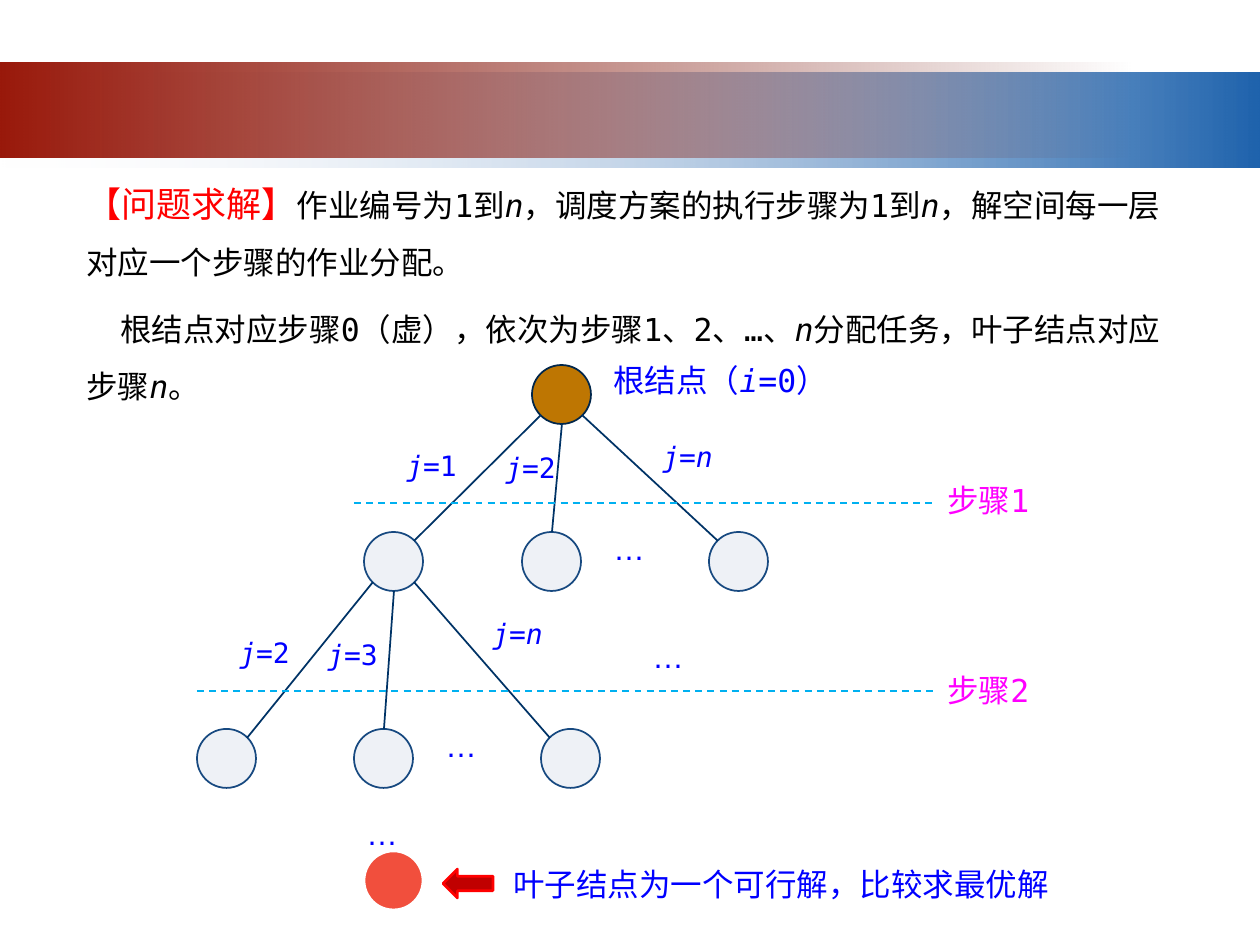
from lxml.etree import SubElement
from pptx import Presentation
from pptx.dml.color import RGBColor
from pptx.enum.dml import MSO_LINE
from pptx.enum.shapes import MSO_CONNECTOR, MSO_SHAPE
from pptx.enum.text import MSO_AUTO_SIZE
from pptx.oxml.ns import qn
from pptx.util import Emu, Pt

PX = 914400 // 126
MONO, CJK, ARIAL = "DejaVu Sans Mono", "Noto Sans CJK SC", "Arial"
BLACK, WHITE = RGBColor(0, 0, 0), RGBColor(255, 255, 255)
RED, BLUE = RGBColor(255, 0, 0), RGBColor(0, 0, 255)
MAGENTA, CYAN = RGBColor(255, 0, 255), RGBColor(0x00, 0xB0, 0xF0)
EDGE = RGBColor(0x00, 0x33, 0x66)
ROOT_FILL, ROOT_LINE = RGBColor(0xBE, 0x76, 0x02), RGBColor(0x00, 0x26, 0x4B)
NODE_FILL, NODE_LINE = RGBColor(0xEE, 0xF1, 0xF6), RGBColor(0x17, 0x49, 0x80)
LEAF_FILL, ARROW_FILL = RGBColor(0xF1, 0x4F, 0x3D), RGBColor(0xC0, 0, 0)

# Asterisks switch italics on and off.
HEADING = "【问题求解】"
BODY = [
    "作业编号为1到*n*，调度方案的执行步骤为1到*n*，解空间每一层对应一个步骤的作业分配。",
    "根结点对应步骤0（虚），依次为步骤1、2、…、*n*分配任务，叶子结点对应步骤*n*。",
]
BANDS = [
    ((0, 73, 1260, 95), (RGBColor(0xF1, 0xF2, 0xF7), 0), (RGBColor(0x1F, 0x63, 0xAD), 100)),
    ((0, 63, 1134, 95), (RGBColor(0x99, 0x19, 0x0B), 100), (RGBColor(0x6D, 0x12, 0x08), 0)),
]
NODE = 59
ROOT = (532, 365)
LEVELS = [
    (ROOT, [(364, 532), (522, 532), (709, 532)]),
    ((364, 532), [(197, 729), (354, 729), (541, 729)]),
]
BRANCHES = [
    ("*j*=1", 394, 442), ("*j*=2", 493, 444), ("*j*=*n*", 650, 433),
    ("*j*=2", 227, 629), ("*j*=3", 315, 631), ("*j*=*n*", 480, 610),
]
DOTS = [(601, 523), (433, 720), (640, 631), (354, 808)]
STEPS = [("步骤1", 475, 354, 503), ("步骤2", 665, 197, 691)]
STEP_X = 935
LEAF = (364, 851)
LEAF_NOTE = "叶子结点为一个可行解，比较求最优解"


def px(*values):
    return [Emu(v * PX) for v in values]


def add_runs(p, text, font, size, color):
    for i, part in enumerate(text.split("*")):
        if part:
            r = p.add_run()
            r.text = part
            r.font.size, r.font.italic = Pt(size), i % 2 == 1
            r.font.color.rgb = color
            r.font.name = font
            SubElement(r.font._element, qn("a:ea"), typeface=font)


def add_box(s, *box):
    tf = s.shapes.add_textbox(*px(*box)).text_frame
    tf.word_wrap = True
    tf.auto_size = MSO_AUTO_SIZE.SHAPE_TO_FIT_TEXT
    return tf


def add_label(s, text, box, font, size=18, color=BLUE):
    add_runs(add_box(s, *box).paragraphs[0], text, font, size, color)


def add_shape(s, kind, box, fill, line, width=1):
    sp = s.shapes.add_shape(kind, *px(*box))
    sp.shadow.inherit = False
    sp.fill.solid()
    sp.fill.fore_color.rgb = fill
    sp.line.color.rgb = line
    sp.line.width = Pt(width)


def add_node(s, pos, fill=NODE_FILL, line=NODE_LINE, width=1):
    add_shape(s, MSO_SHAPE.OVAL, (*pos, NODE, NODE), fill, line, width)


def add_line(s, start, end, color, dash=None):
    c = s.shapes.add_connector(MSO_CONNECTOR.STRAIGHT, *px(*start, *end))
    c.line.color.rgb = color
    c.line.width = Pt(1)
    if dash:
        c.line.dash_style = dash
    SubElement(c._element.spPr, qn("a:effectLst"))


def add_band(s, box, *ends):
    sp = s.shapes.add_shape(MSO_SHAPE.RECTANGLE, *px(*box))
    sp.shadow.inherit = False
    sp.line.fill.background()
    sp.fill.gradient()
    sp.fill.gradient_angle = 0
    for stop, (color, _) in zip(sp.fill.gradient_stops, ends):
        stop.color.rgb = color
    clrs = list(sp._element.spPr.iter(qn("a:srgbClr")))
    for clr, (_, alpha) in zip(clrs, ends):
        SubElement(clr, qn("a:alpha"), val=str(alpha * 1000))


def add_body(s):
    tf = add_box(s, 74, 155, 1113, 252)
    for i, text in enumerate(BODY):
        p = tf.add_paragraph() if i else tf.paragraphs[0]
        p.line_spacing = 1.5
        if i:
            p.space_before = Pt(6)
            p._p.get_or_add_pPr().set("indent", str(34 * PX))
        else:
            add_runs(p, HEADING, MONO, 20, RED)
        add_runs(p, text, MONO, 18, BLACK)


def add_edges(s, parent, children):
    r = NODE / 2
    d = r * 0.707
    for (x, y), side in zip(children, (-1, 0, 1)):
        drop = d if side else r
        start = parent[0] + r + side * d, parent[1] + r + drop
        end = x + r - side * d, y + r - drop
        add_line(s, [round(v) for v in start], [round(v) for v in end], EDGE)


def main():
    prs = Presentation()
    prs.slide_width, prs.slide_height = px(1260, 945)
    s = prs.slides.add_slide(prs.slide_layouts[6])
    for band in BANDS:
        add_band(s, *band)
    add_body(s)

    add_node(s, ROOT, ROOT_FILL, ROOT_LINE)
    tf = add_box(s, 601, 355, 256, 50)
    add_runs(tf.paragraphs[0], "根结点", CJK, 18, BLUE)
    add_runs(tf.paragraphs[0], "（*i*=0）", MONO, 18, BLUE)
    for parent, children in LEVELS:
        for child in children:
            add_node(s, child)
        add_edges(s, parent, children)
    for text, x, y in BRANCHES:
        add_label(s, text, (x, y, 98, 47), MONO, 16)
    for x, y in DOTS:
        add_label(s, "…", (x, y, 79, 63), ARIAL)
    for text, top, x, y in STEPS:
        add_label(s, text, (STEP_X, top, 118, 50), MONO, 18, MAGENTA)
        add_line(s, (x, y), (STEP_X, y), CYAN, MSO_LINE.DASH)

    add_node(s, LEAF, LEAF_FILL, WHITE, 1.5)
    add_label(s, LEAF_NOTE, (501, 859, 620, 50), CJK)
    add_shape(s, MSO_SHAPE.LEFT_ARROW, (443, 869, 50, 29), ARROW_FILL, RED, 1.5)
    prs.save("out.pptx")


if __name__ == "__main__":
    main()
